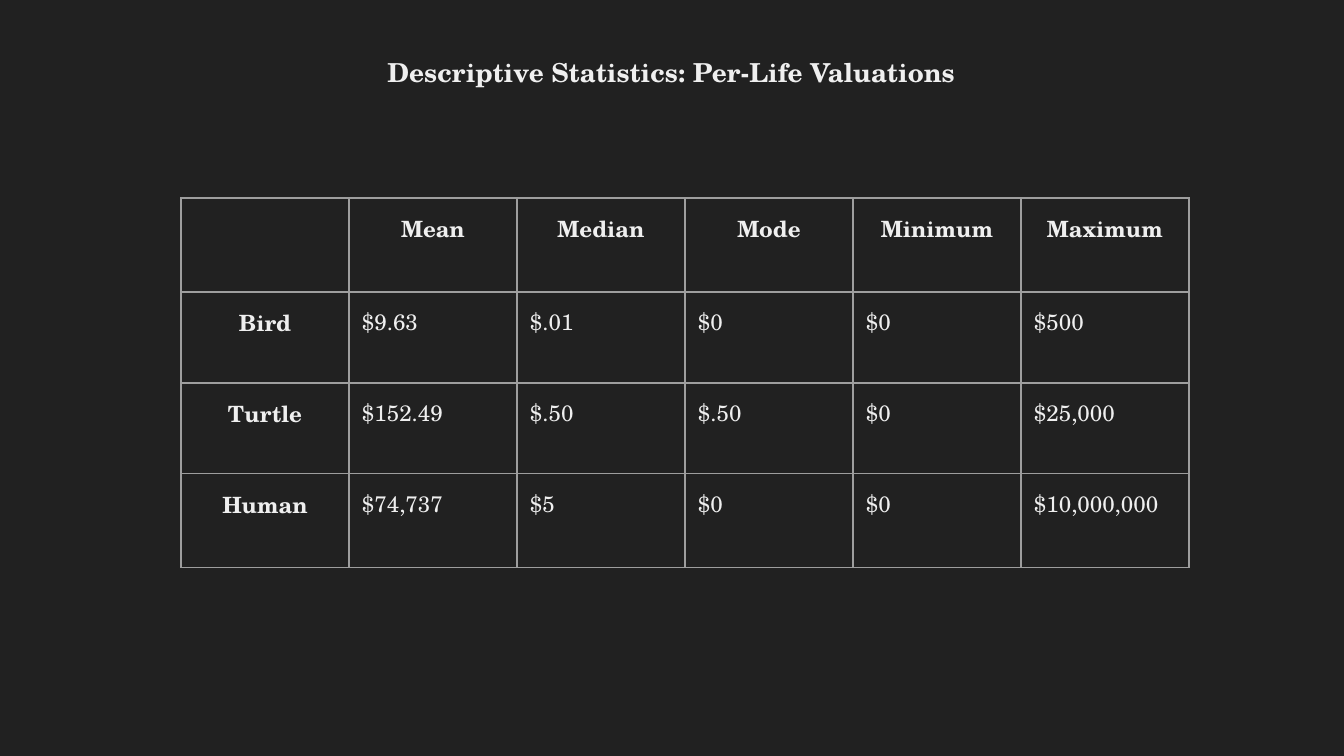
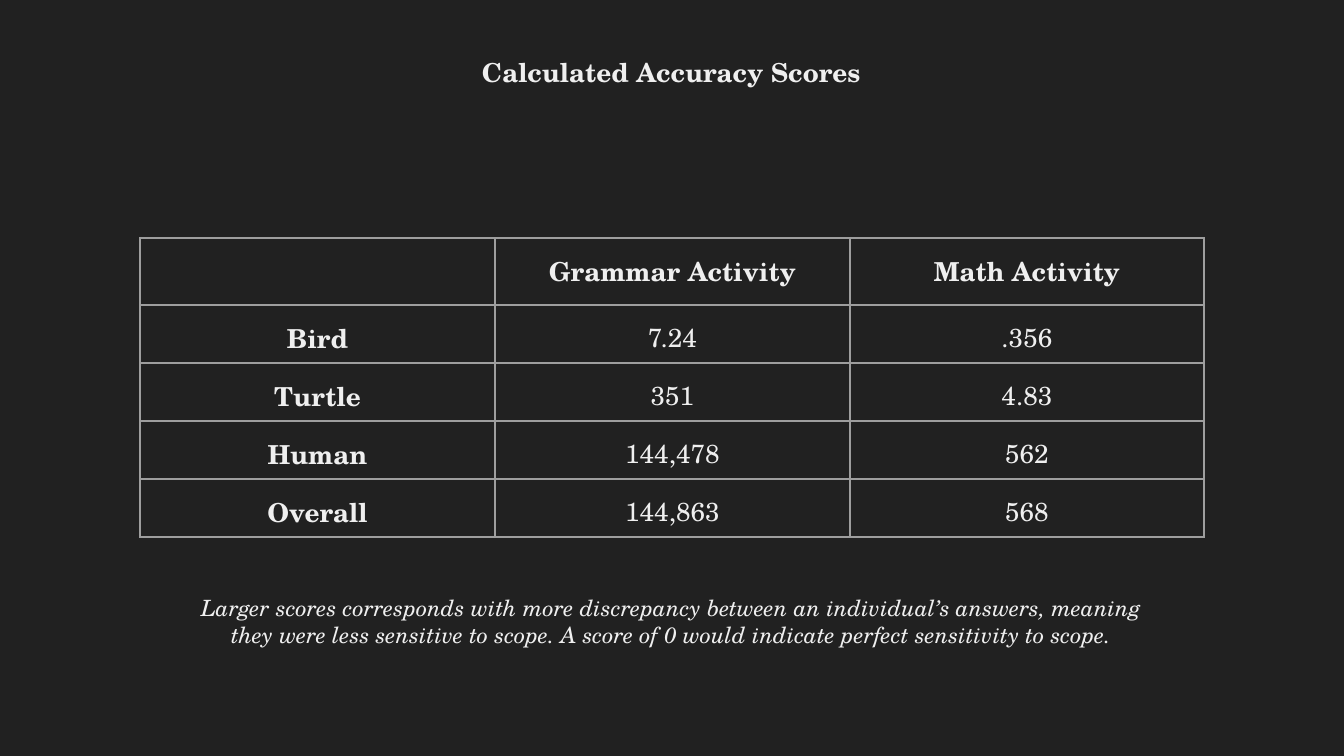
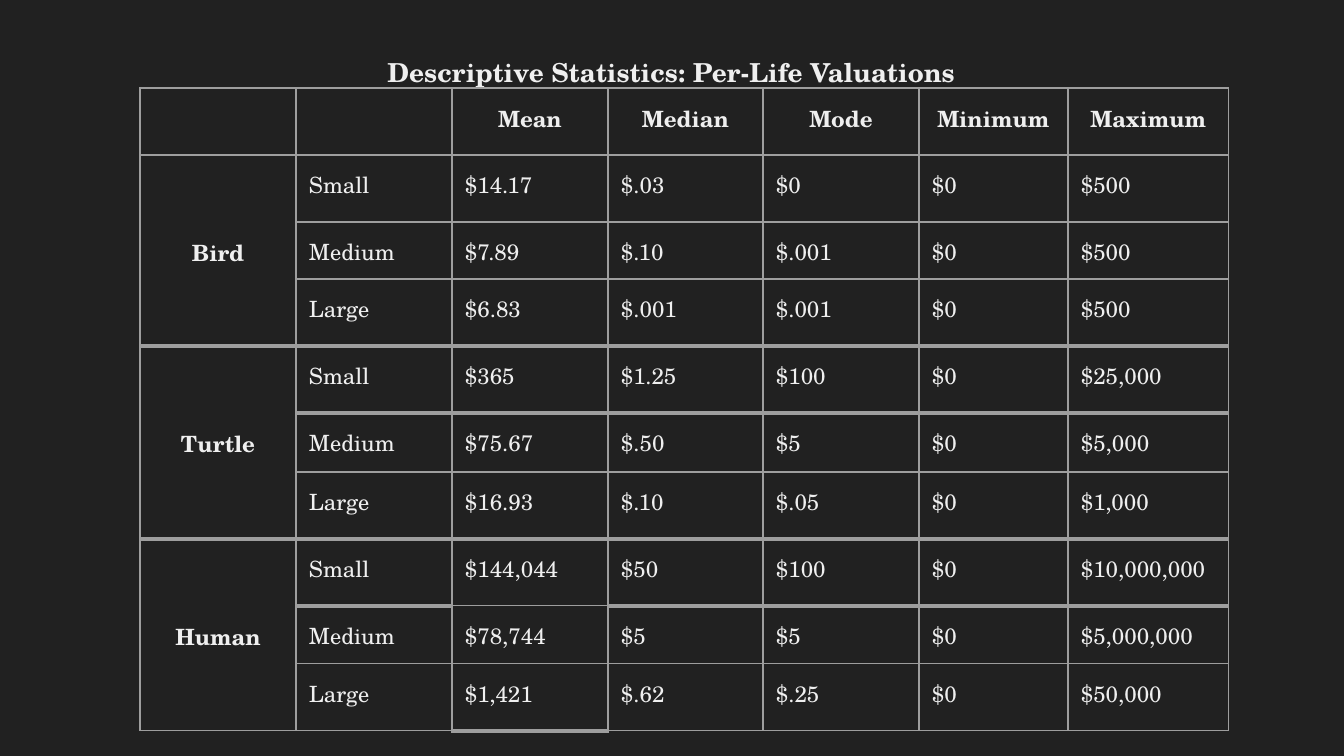
"""Builds three dark slides of valuation and accuracy tables."""
from lxml.etree import SubElement
from pptx import Presentation
from pptx.dml.color import RGBColor
from pptx.enum.text import MSO_ANCHOR as Anchor, PP_ALIGN as Align
from pptx.oxml.ns import qn
from pptx.util import Pt

SCALE = 914400 / 134.4
FONT = "TeX Gyre Schola"
BACKGROUND, INK, RULE = "212121", "EFEFEF", "9E9E9E"
THIN, THICK = 0.75, 2.25
INSET = 13


def px(*lengths):
    return [round(length * SCALE) for length in lengths]


def write(frame, text, size, align=Align.CENTER, bold=False, italic=False):
    para = frame.paragraphs[0]
    para.text = text
    para.alignment = align
    para.font.name = FONT
    para.font.size = Pt(size)
    para.font.bold = bold
    para.font.italic = italic
    para.font.color.rgb = RGBColor.from_string(INK)


statistics = ["Mean", "Median", "Mode", "Minimum", "Maximum"]
group_edges = {(row, column): THICK for row in (3, 4, 6, 7) for column in range(7)}
group_edges |= {(row, 0): 0 for row in (1, 2, 4, 5, 7, 8)}
group_edges |= {(7, 2): THIN, (9, 2): THICK}

slides = [
    {
        "title": "Descriptive Statistics: Per-Life Valuations",
        "corner": (181, 198), "size": 12, "align": Align.LEFT, "labels": 1,
        "widths": [168] * 6, "heights": [94, 91, 91, 94], "edges": {},
        "rows": [
            ["", *statistics],
            ["Bird", "$9.63", "$.01", "$0", "$0", "$500"],
            ["Turtle", "$152.49", "$.50", "$.50", "$0", "$25,000"],
            ["Human", "$74,737", "$5", "$0", "$0", "$10,000,000"],
        ],
    },
    {
        "title": "Calculated Accuracy Scores",
        "corner": (140, 238), "size": 14, "align": Align.CENTER, "labels": 1,
        "widths": [355, 355, 354], "heights": [67] + [58] * 4, "edges": {},
        "rows": [
            ["", "Grammar Activity", "Math Activity"],
            ["Bird", "7.24", ".356"],
            ["Turtle", "351", "4.83"],
            ["Human", "144,478", "562"],
            ["Overall", "144,863", "568"],
        ],
        "note": "Larger scores corresponds with more discrepancy between an individual’s "
                "answers, meaning they were less sensitive to scope. A score of 0 would "
                "indicate perfect sensitivity to scope.",
    },
    {
        "title": "Descriptive Statistics: Per-Life Valuations",
        "corner": (140, 88), "size": 12, "align": Align.LEFT, "labels": 1,
        "widths": [156, 156, 156, 155, 156, 149, 161],
        "heights": [67, 67, 57, 67, 67, 59, 67, 67, 58, 67], "edges": group_edges,
        "rows": [
            ["", "", *statistics],
            ["", "Small", "$14.17", "$.03", "$0", "$0", "$500"],
            ["Bird", "Medium", "$7.89", "$.10", "$.001", "$0", "$500"],
            ["", "Large", "$6.83", "$.001", "$.001", "$0", "$500"],
            ["", "Small", "$365", "$1.25", "$100", "$0", "$25,000"],
            ["Turtle", "Medium", "$75.67", "$.50", "$5", "$0", "$5,000"],
            ["", "Large", "$16.93", "$.10", "$.05", "$0", "$1,000"],
            ["", "Small", "$144,044", "$50", "$100", "$0", "$10,000,000"],
            ["Human", "Medium", "$78,744", "$5", "$5", "$0", "$5,000,000"],
            ["", "Large", "$1,421", "$.62", "$.25", "$0", "$50,000"],
        ],
    },
]

deck = Presentation()
deck.slide_width, deck.slide_height = px(1344, 756)

for content in slides:
    page = deck.slides.add_slide(deck.slide_layouts[6])
    page.background.fill.solid()
    page.background.fill.fore_color.rgb = RGBColor.from_string(BACKGROUND)

    texts = [(content["title"], (374, 43, 595, 59), 14, True)]
    if "note" in content:
        texts.append((content["note"], (179, 581, 985, 82), 12, False))
    for text, place, size, is_title in texts:
        frame = page.shapes.add_textbox(*px(*place)).text_frame
        frame.word_wrap = True
        frame.margin_left, frame.margin_top, frame.margin_right, frame.margin_bottom = px(*[INSET] * 4)
        write(frame, text, size, bold=is_title, italic=not is_title)

    rows, widths, heights = content["rows"], content["widths"], content["heights"]
    place = px(*content["corner"], sum(widths), sum(heights))
    table = page.shapes.add_table(len(rows), len(widths), *place).table
    table.first_row = table.horz_banding = False
    for column, width in zip(table.columns, px(*widths)):
        column.width = width
    for row, height in zip(table.rows, px(*heights)):
        row.height = height

    for r, values in enumerate(rows):
        for c, value in enumerate(values):
            cell = table.cell(r, c)
            cell.margin_left, cell.margin_top, cell.margin_right, cell.margin_bottom = px(*[INSET] * 4)
            cell.vertical_anchor = Anchor.TOP
            is_label = r == 0 or c < content["labels"]
            align = Align.CENTER if is_label else content["align"]
            write(cell.text_frame, value, content["size"], align, bold=is_label)

            above = content["edges"].get((r - 1, c), THIN)
            below = content["edges"].get((r, c), THIN)
            properties = cell._tc.get_or_add_tcPr()
            for side, weight in (("L", THIN), ("R", THIN), ("T", above), ("B", below)):
                line = SubElement(properties, qn(f"a:ln{side}"), w=str(Pt(weight)))
                if weight:
                    fill = SubElement(line, qn("a:solidFill"))
                    SubElement(fill, qn("a:srgbClr"), val=RULE)
                else:
                    SubElement(line, qn("a:noFill"))
            cell.fill.background()

deck.save("out.pptx")
